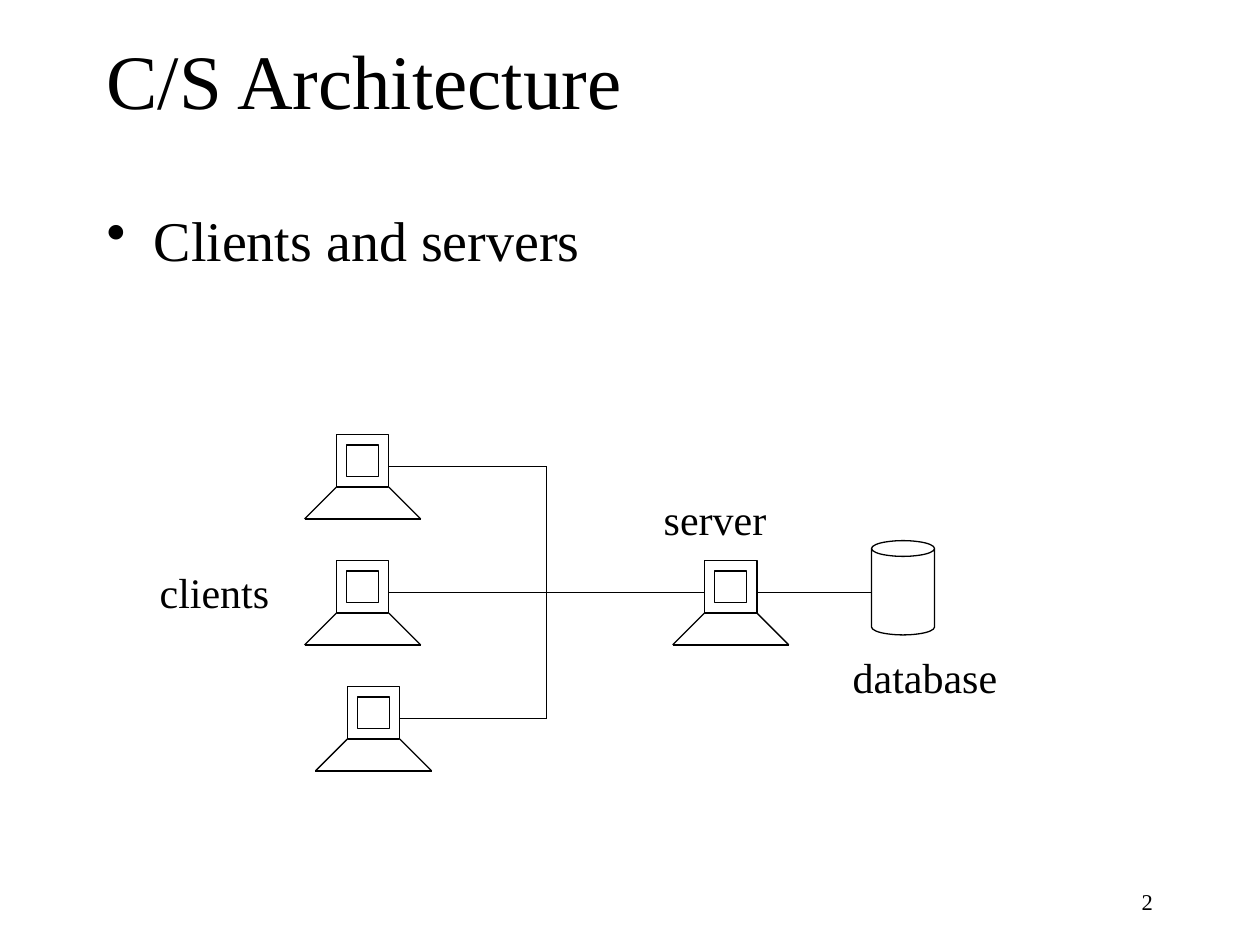
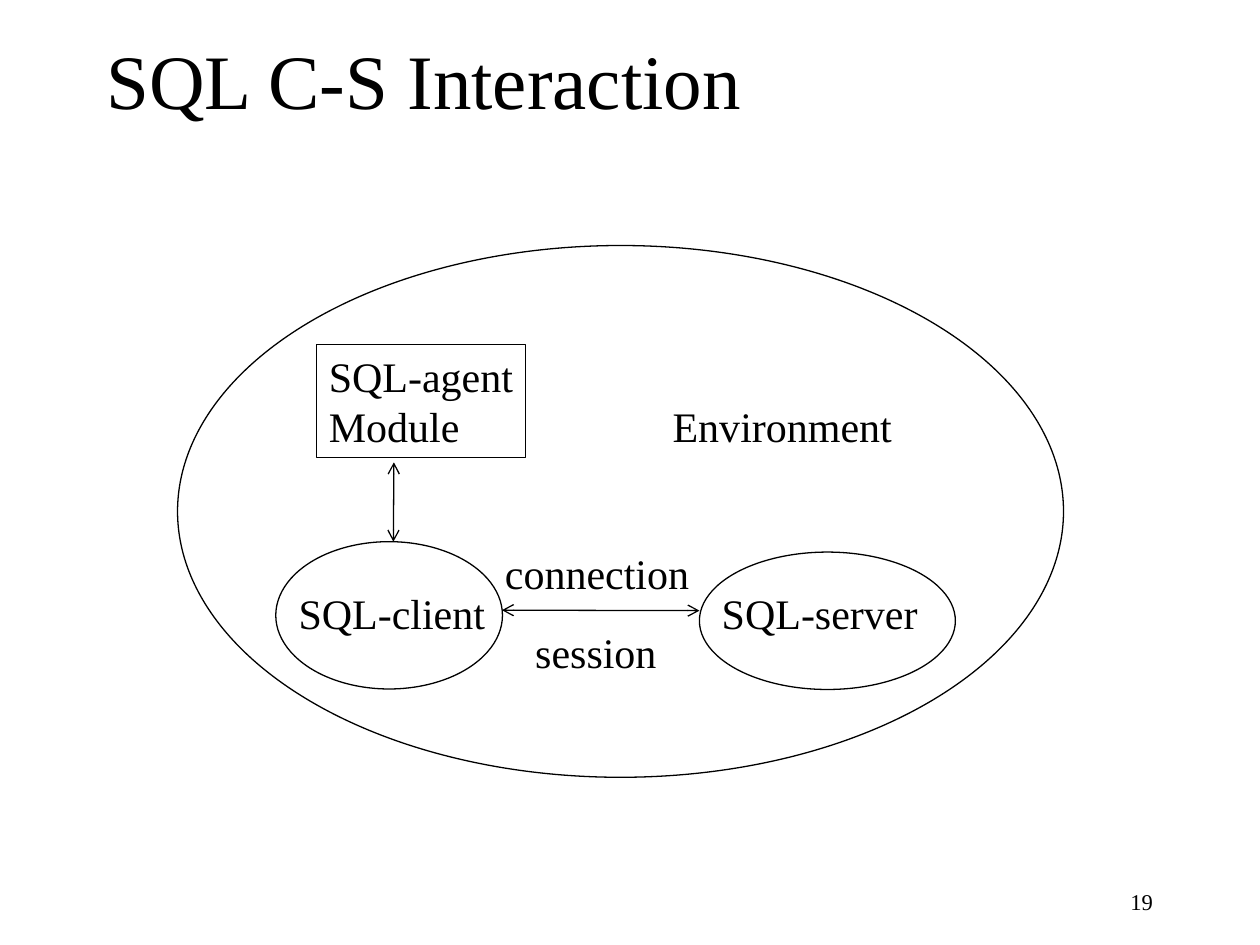
"""Builds two slides on client/server architecture and SQL interaction."""
from dataclasses import dataclass

from lxml import etree
from pptx import Presentation
from pptx import util as u
from pptx.dml import color
from pptx.enum import shapes, text
from pptx.oxml import ns

Cm = u.Cm


@dataclass(frozen=True)
class Theme:
    font: str = "Times New Roman"
    ink: color.RGBColor = color.RGBColor(0, 0, 0)
    paper: color.RGBColor = color.RGBColor(255, 255, 255)
    line: float = 0.75
    title: float = 44
    body: float = 32
    label: float = 24
    number: float = 12.9


class SlideBuilder:
    def __init__(self, deck, theme):
        self.deck = deck
        self.theme = theme
        self.page = None

    def start(self, title, number):
        self.page = self.deck.slides.add_slide(self.deck.slide_layouts[6])
        self.label(title, 1.9, 0, 21.6, 3.18, self.theme.title).vertical_anchor = text.MSO_ANCHOR.MIDDLE
        frame = self.label(number, 18.21, 17.78, 5.28, 0.84, self.theme.number)
        frame.paragraphs[0].alignment = text.PP_ALIGN.RIGHT

    def add_lines(self, frame, lines, size):
        for index, words in enumerate(lines):
            para = frame.add_paragraph() if index else frame.paragraphs[0]
            para.alignment = text.PP_ALIGN.LEFT
            span = para.add_run()
            span.text = words
            span.font.name = self.theme.font
            span.font.size = u.Pt(size)
            span.font.color.rgb = self.theme.ink

    def label(self, words, left, top, width, height=1.27, size=None, wrap=True):
        box = self.page.shapes.add_textbox(Cm(left), Cm(top), Cm(width), Cm(height))
        box.text_frame.word_wrap = wrap
        self.add_lines(box.text_frame, [words], size or self.theme.label)
        return box.text_frame

    def bullet(self, words, left, top, width, height):
        para = self.label(words, left, top, width, height, self.theme.body).paragraphs[0]
        para.space_before = u.Pt(8)
        properties = para._p.get_or_add_pPr()
        properties.set("marL", str(Cm(0.95)))
        properties.set("indent", str(Cm(-0.95)))
        etree.SubElement(properties, ns.qn("a:buChar")).set("char", "•")

    def shape(self, kind, left, top, width, height, filled=False):
        box = self.page.shapes.add_shape(kind, Cm(left), Cm(top), Cm(width), Cm(height))
        box.shadow.inherit = False
        if filled:
            box.fill.solid()
            box.fill.fore_color.rgb = self.theme.paper
        else:
            box.fill.background()
        self.stroke(box)
        return box

    def stroke(self, item):
        item.line.color.rgb = self.theme.ink
        item.line.width = u.Pt(self.theme.line)

    def text_box(self, lines, left, top, width, height):
        box = self.shape(shapes.MSO_SHAPE.RECTANGLE, left, top, width, height)
        box.text_frame.word_wrap = False
        box.text_frame.vertical_anchor = text.MSO_ANCHOR.TOP
        self.add_lines(box.text_frame, lines, self.theme.label)

    def line(self, x1, y1, x2, y2, arrows=False):
        link = self.page.shapes.add_connector(
            shapes.MSO_CONNECTOR.STRAIGHT, Cm(x1), Cm(y1), Cm(x2), Cm(y2))
        self.stroke(link)
        if arrows:
            for end in ("a:headEnd", "a:tailEnd"):
                etree.SubElement(link.line._get_or_add_ln(), ns.qn(end)).set("type", "arrow")
        etree.SubElement(link._element.spPr, ns.qn("a:effectLst"))

    def computer(self, left, top, case=1.06, screen=0.64, foot=0.64):
        right, bottom = left + case, top + case
        inset = (case - screen) / 2
        rectangle = shapes.MSO_SHAPE.RECTANGLE
        self.shape(rectangle, left, top, case, case, filled=True)
        self.shape(rectangle, left + inset, top + inset, screen, screen, filled=True)
        self.line(left, bottom, left - foot, bottom + foot)
        self.line(left - foot, bottom + foot, right + foot, bottom + foot)
        self.line(right, bottom, right + foot, bottom + foot)
        return right


def draw_architecture(builder):
    builder.start("C/S Architecture", "2")
    builder.bullet("Clients and servers", 1.9, 4.02, 21.6, 12.9)
    trunk, server_left, database_left = 11.02, 14.2, 17.57
    first_top, row_gap, wire_drop = 8.76, 2.54, 0.64
    server_top = first_top + row_gap
    server_wire = server_top + wire_drop
    wire_ends = (trunk, server_left, trunk)
    for row, (left, wire_end) in enumerate(zip((6.78, 6.78, 7.0), wire_ends)):
        top = first_top + row * row_gap
        right = builder.computer(left, top)
        builder.line(right, top + wire_drop, wire_end, top + wire_drop)
    builder.line(trunk, server_wire - row_gap, trunk, server_wire + row_gap)
    server_right = builder.computer(server_left, server_top)
    builder.shape(shapes.MSO_SHAPE.CAN, database_left, 10.9, 1.27, 1.9, filled=True)
    builder.line(server_right, server_wire, database_left, server_wire)
    builder.label("server", 13.13, 9.83, 3.18)
    builder.label("clients", 2.97, 11.3, 3.18)
    builder.label("database", 16.94, 13, 4.02)


def draw_interaction(builder):
    builder.start("SQL C-S Interaction", "19")
    for bounds in ((3.58, 4.95, 17.86, 10.72), (5.56, 10.92, 4.57, 2.97), (14.1, 11.13, 5.16, 2.77)):
        builder.shape(shapes.MSO_SHAPE.OVAL, *bounds)
    builder.label("SQL-client", 5.77, 11.71, 4.9)
    builder.label("SQL-server", 14.3, 11.71, 4.9)
    builder.line(10.12, 12.3, 14.1, 12.31, arrows=True)
    builder.label("connection", 9.93, 10.92, 4.22, wrap=False)
    builder.label("session", 10.54, 12.5, 2.95, wrap=False)
    builder.text_box(["SQL-agent", "Module"], 6.38, 6.94, 4.22, 2.29)
    builder.line(7.94, 9.32, 7.93, 10.92, arrows=True)
    builder.label("Environment", 13.31, 7.95, 4.93, wrap=False)


def main():
    deck = Presentation()
    deck.slide_width, deck.slide_height = Cm(25.4), Cm(19.05)
    builder = SlideBuilder(deck, Theme())
    draw_architecture(builder)
    draw_interaction(builder)
    deck.save("out.pptx")


if __name__ == "__main__":
    main()
